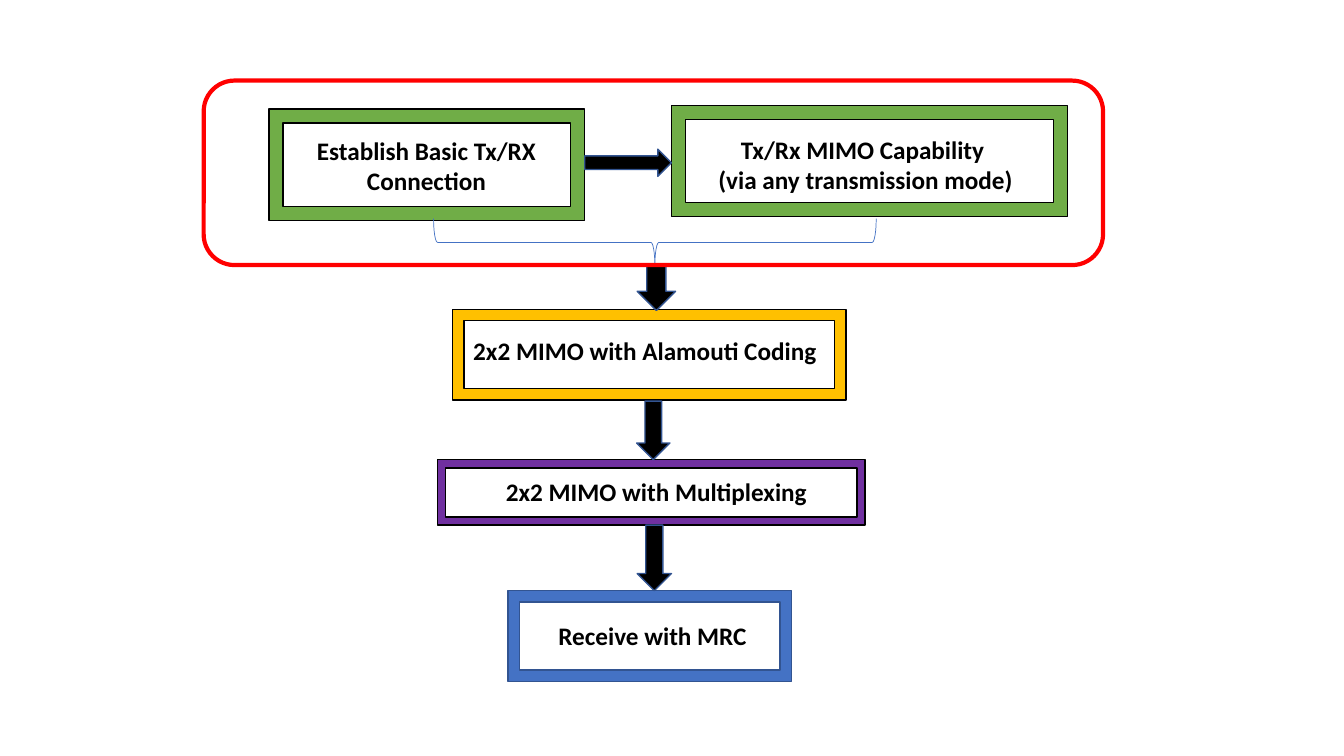
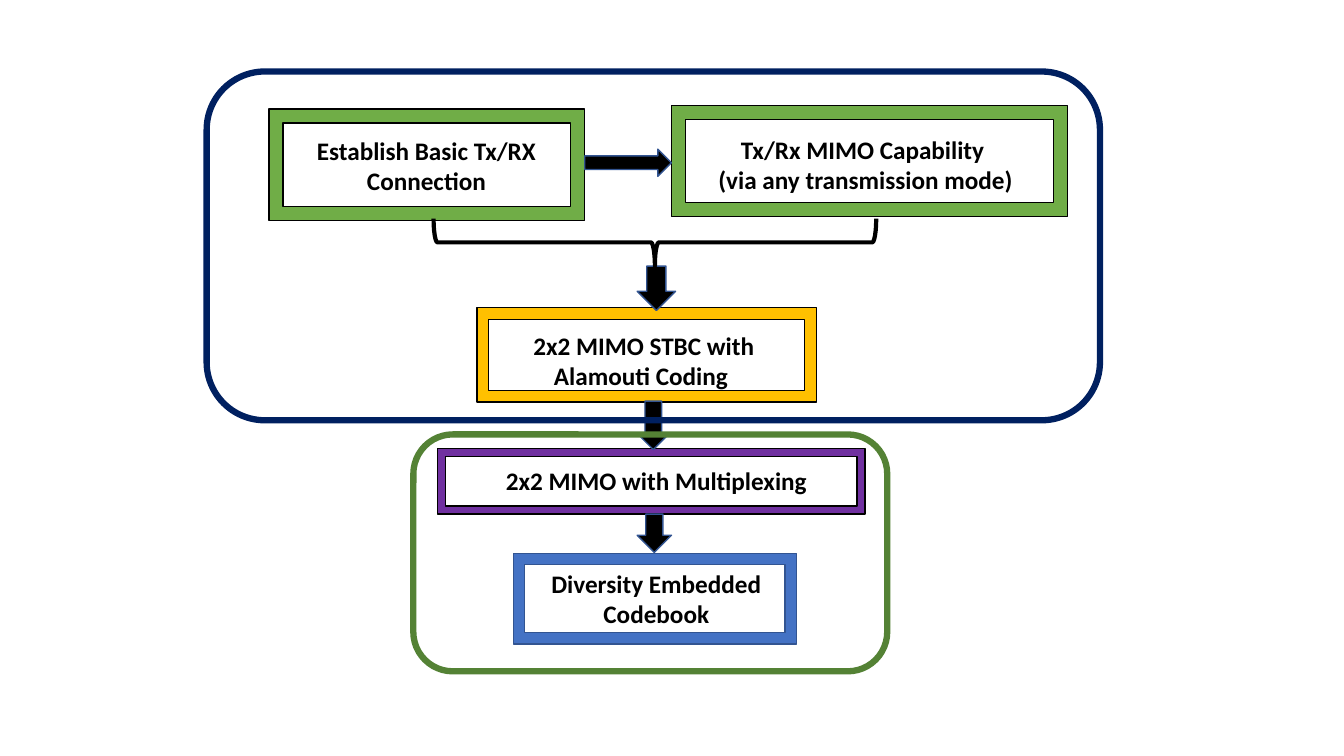
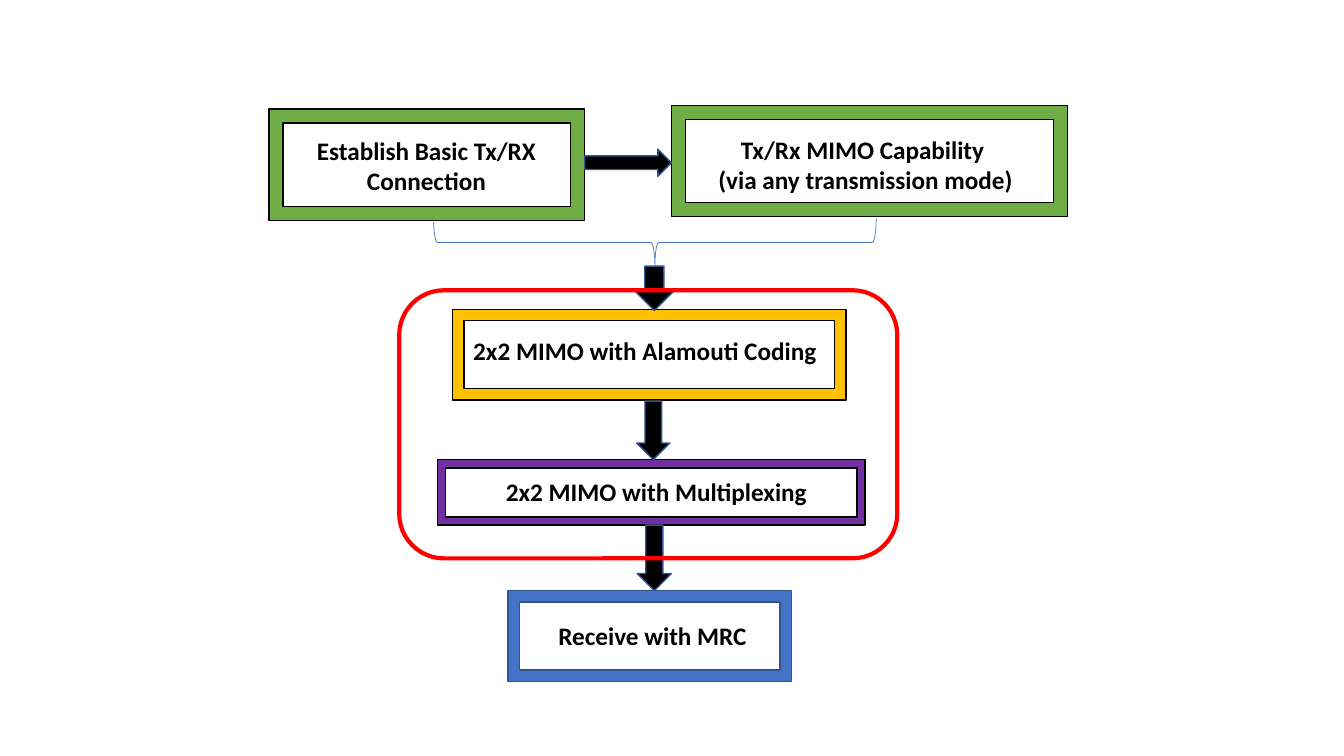
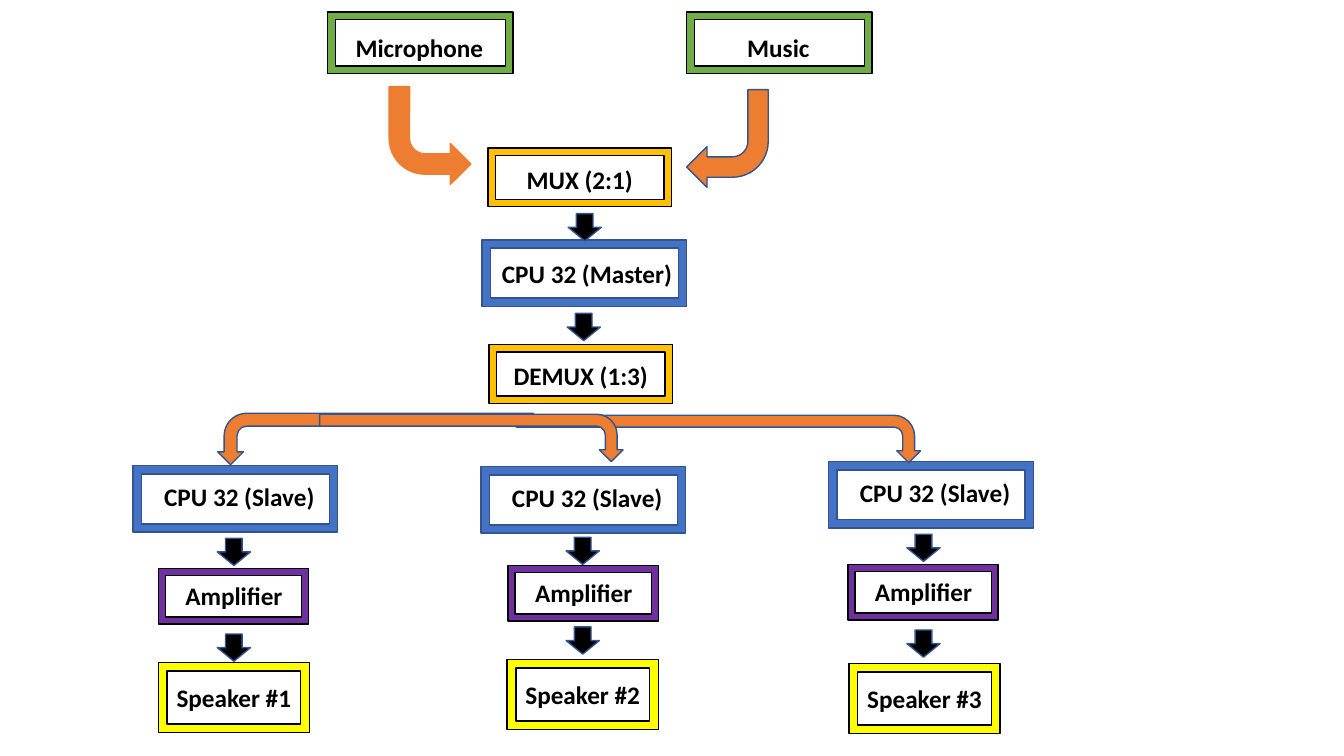
from pptx import Presentation
from pptx.dml.color import RGBColor
from pptx.enum.shapes import MSO_SHAPE
from pptx.enum.text import PP_ALIGN
from pptx.util import Inches, Pt

COLOURS = {
    "black": "000000", "edge": "325491", "blue": "4472C4", "green": "70AD47",
    "gold": "FFC000", "purple": "7030A0", "yellow": "FFFF00",
    "orange": "ED7D31", "red": "FF0000", "navy": "002060", "moss": "548235",
}
LABEL_FONT = {"name": "Calibri", "size": Pt(18), "bold": True}
CENTER, LEFT = PP_ALIGN.CENTER, PP_ALIGN.LEFT

# Kind of step: colour, edge, frame size, label offset, label width, alignment
KINDS = {
    "connection": ("green", "black", (3.13, 1.11), (0.16, 0.21), 2.8, CENTER),
    "capability": ("green", "black", (3.93, 1.1), (0.26, 0.23), 3.33, CENTER),
    "alamouti": ("gold", "black", (3.9, 0.9), (-0.03, 0.21), 3.93, CENTER),
    "stbc": ("gold", "black", (3.37, 0.94), (-0.04, 0.18), 3.39, CENTER),
    "multiplexing": ("purple", "black", (4.24, 0.65), (-0.49, 0.12), 5.32, CENTER),
    "receive": ("blue", "edge", (2.81, 0.9), (0.4, 0.25), 2.81, LEFT),
    "codebook": ("blue", "edge", (2.81, 0.9), (-0.18, 0.1), 3.2, CENTER),
    "source": ("green", "black", (1.84, 0.61), (0.16, 0.15), 1.5, CENTER),
    "switch": ("gold", "black", (1.82, 0.58), (0, 0.11), 1.82, CENTER),
    "master": ("blue", "edge", (2.03, 0.66), (0.1, 0.13), 2.03, LEFT),
    "slave": ("blue", "edge", (2.03, 0.66), (0.21, 0.11), 2.03, LEFT),
    "amplifier": ("purple", "black", (1.49, 0.55), (0.1, 0.07), 1.3, CENTER),
    "speaker": ("yellow", "black", (1.5, 0.7), (0, 0.15), 1.5, CENTER),
}

# Steps: kind, left, top, label lines
START_STEPS = [
    ("connection", 2.67, 1.08, ["Establish Basic Tx/RX Connection"]),
    ("capability", 6.66, 1.05, ["Tx/Rx MIMO Capability ", "(via any transmission mode)"]),
]
MRC_STEPS = START_STEPS + [
    ("alamouti", 4.49, 3.07, ["2x2 MIMO with Alamouti Coding "]),
    ("multiplexing", 4.34, 4.56, ["2x2 MIMO with Multiplexing"]),
    ("receive", 5.04, 5.86, ["Receive with MRC"]),
]
CODEBOOK_STEPS = START_STEPS + [
    ("stbc", 4.73, 3.05, ["2x2 MIMO STBC with Alamouti Coding "]),
    ("multiplexing", 4.34, 4.45, ["2x2 MIMO with Multiplexing"]),
    ("codebook", 5.09, 5.49, ["Diversity Embedded Codebook"]),
]

# Down arrows: centre, top, width, height
MRC_ARROWS = [(6.48, 3.98, 0.33, 0.58), (6.49, 5.21, 0.34, 0.65)]
CODEBOOK_ARROWS = [(6.48, 3.98, 0.33, 0.48), (6.49, 5.1, 0.34, 0.38)]

# Outlines: left, top, width, height, colour, line width
MIMO_PAGES = [
    {"steps": MRC_STEPS, "arrows": [(6.51, 2.64, 0.38, 0.44)] + MRC_ARROWS,
     "brace": ("blue", 0.5),
     "outlines": [(2.02, 0.8, 8.92, 1.83, "red", 3)]},
    {"steps": CODEBOOK_STEPS, "arrows": [(6.51, 2.64, 0.38, 0.44)] + CODEBOOK_ARROWS,
     "brace": ("black", 3),
     "outlines": [(4.1, 4.31, 4.7, 2.35, "moss", 4.5),
                  (2.05, 0.71, 8.86, 3.46, "navy", 4.5)]},
    {"steps": MRC_STEPS, "arrows": [(6.49, 2.64, 0.38, 0.44)] + MRC_ARROWS,
     "brace": ("blue", 0.5),
     "outlines": [(3.96, 2.88, 4.94, 2.66, "red", 3)]},
]

AUDIO_STEPS = [
    ("source", 3.25, 0.12, ["Microphone"]),
    ("source", 6.81, 0.12, ["Music"]),
    ("switch", 4.84, 1.47, ["MUX (2:1)"]),
    ("master", 4.78, 2.38, ["CPU 32 (Master)"]),
    ("switch", 4.85, 3.42, ["DEMUX (1:3)"]),
]
# Speaker branches: (left, top) of each step, then centre and tops of the arrows
BRANCHES = [
    ([(1.32, 4.62), (1.57, 5.64), (1.57, 6.57)], 2.32, (5.34, 6.29)),
    ([(4.77, 4.63), (5.04, 5.61), (5.03, 6.54)], 5.78, (5.33, 6.22)),
    ([(8.22, 4.58), (8.41, 5.6), (8.42, 6.58)], 9.16, (5.3, 6.25)),
]
# Bent arrows: left, top, width, height, rotation, flips, edge
BENT_ARROWS = [
    (3.47, 2.79, 0.51, 3.13, 270, ["flipH"], "edge"),
    (6.89, 2.35, 0.47, 4.01, 270, ["flipH", "flipV"], "edge"),
    (4.44, 2.84, 0.47, 3.01, 270, ["flipH", "flipV"], "edge"),
    (3.86, 0.86, 0.81, 0.97, 0, ["flipV"], "orange"),
    (6.81, 0.89, 0.81, 0.97, 0, ["flipH", "flipV"], "edge"),
]


def colour(name):
    return RGBColor.from_string(COLOURS[name])


def add_figure(shapes, preset, place, fill, edge, weight=1):
    """Add a preset shape; a fill of None leaves it open."""
    figure = shapes.add_shape(preset, *map(Inches, place))
    figure.shadow.inherit = False
    if fill:
        figure.fill.solid()
        figure.fill.fore_color.rgb = colour(fill)
    else:
        figure.fill.background()
    figure.line.color.rgb = colour(edge)
    figure.line.width = Pt(weight)
    return figure


def add_step(page, kind, left, top, lines):
    """Add a frame with its label as one group."""
    fill, edge, size, (shift_x, shift_y), width, alignment = KINDS[kind]
    group = page.shapes.add_group_shape()
    add_figure(group.shapes, MSO_SHAPE.FRAME, (left, top, *size), fill, edge)
    box = group.shapes.add_textbox(
        *map(Inches, (left + shift_x, top + shift_y, width, 0.4)))
    box.text_frame.word_wrap = True
    for index, line in enumerate(lines):
        para = box.text_frame.add_paragraph() if index else box.text_frame.paragraphs[0]
        para.alignment = alignment
        span = para.add_run()
        span.text = line
        for name, value in LABEL_FONT.items():
            setattr(span.font, name, value)
        span.font.color.rgb = colour("black")


def add_down_arrow(page, centre, top, width=0.33, height=0.27):
    place = (centre - width / 2, top, width, height)
    add_figure(page.shapes, MSO_SHAPE.DOWN_ARROW, place, "black", "edge")


def add_mimo_page(page, content):
    for step in content["steps"]:
        add_step(page, *step)
    add_figure(page.shapes, MSO_SHAPE.RIGHT_ARROW, (5.8, 1.48, 0.86, 0.27), "black", "edge")
    for arrow in content["arrows"]:
        add_down_arrow(page, *arrow)
    brace = add_figure(page.shapes, MSO_SHAPE.RIGHT_BRACE, (6.26, 0.21, 0.47, 4.39),
                       None, *content["brace"])
    brace.rotation = 90
    for *place, edge, weight in content["outlines"]:
        add_figure(page.shapes, MSO_SHAPE.ROUNDED_RECTANGLE, place, None, edge, weight)


def add_audio_page(page):
    for step in AUDIO_STEPS:
        add_step(page, *step)
    for centre, top in [(5.8, 2.12), (5.79, 3.11)]:
        add_down_arrow(page, centre, top)

    # Three branches from the demultiplexer
    for number, (places, centre, tops) in enumerate(BRANCHES, 1):
        labels = [("slave", "CPU 32 (Slave)"), ("amplifier", "Amplifier"),
                  ("speaker", f"Speaker #{number}")]
        for (kind, label), (left, top) in zip(labels, places):
            add_step(page, kind, left, top, [label])
        for top in tops:
            add_down_arrow(page, centre, top)

    # Bent arrows into and out of the switches
    for *place, rotation, flips, edge in BENT_ARROWS:
        arrow = add_figure(page.shapes, MSO_SHAPE.BENT_ARROW, place, "orange", edge)
        arrow.rotation = rotation
        for flip in flips:
            arrow._element.spPr.xfrm.set(flip, "1")


def main():
    deck = Presentation()
    deck.slide_width, deck.slide_height = Inches(13.33), Inches(7.5)
    blank = deck.slide_layouts[6]
    for content in MIMO_PAGES:
        add_mimo_page(deck.slides.add_slide(blank), content)
    add_audio_page(deck.slides.add_slide(blank))
    deck.save("out.pptx")


if __name__ == "__main__":
    main()
